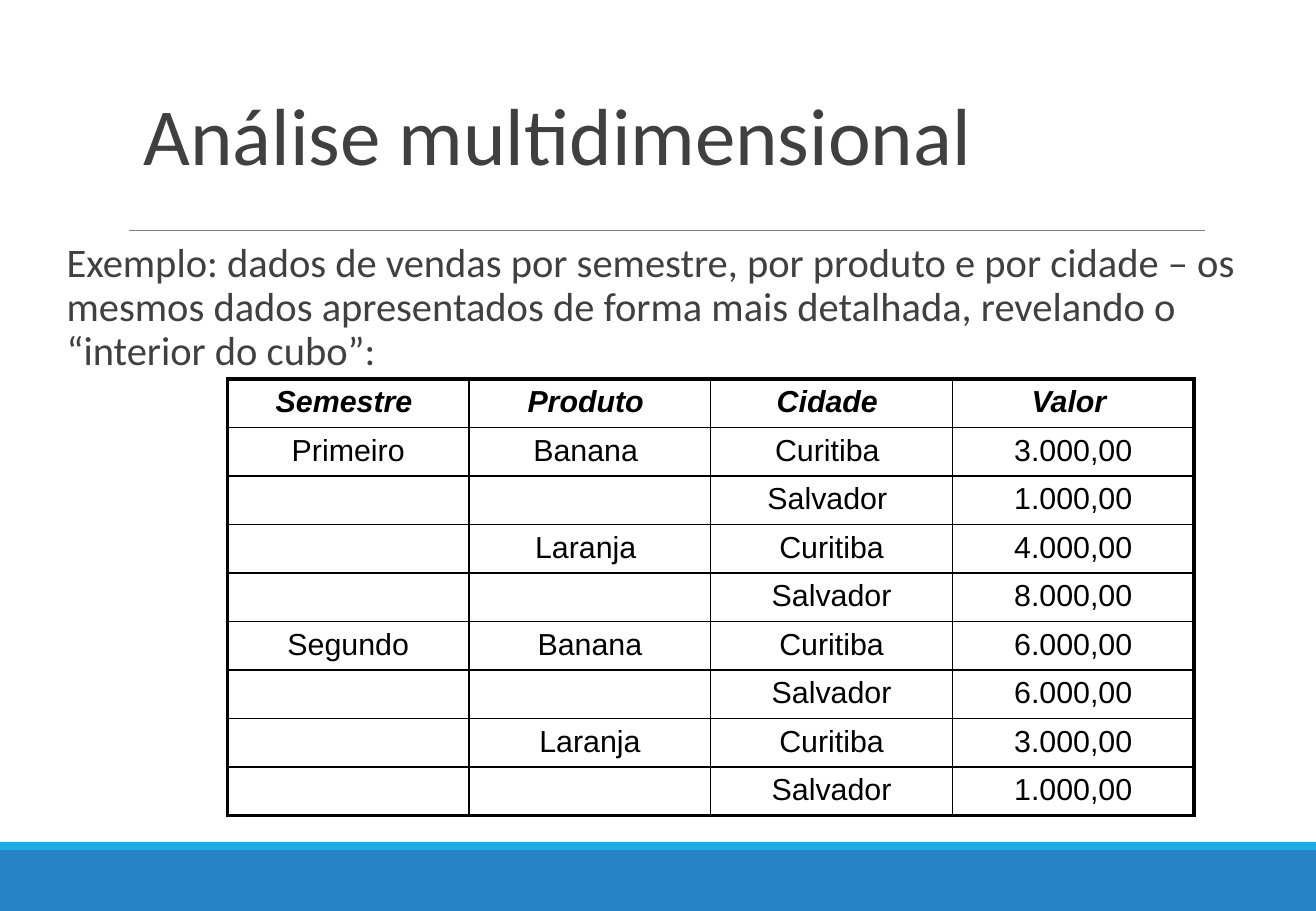
from lxml import etree
from pptx import Presentation
from pptx.dml.color import RGBColor
from pptx.enum.shapes import MSO_CONNECTOR, MSO_SHAPE
from pptx.enum.text import MSO_ANCHOR, MSO_AUTO_SIZE, PP_ALIGN
from pptx.oxml.ns import qn
from pptx.util import Pt

RECT = MSO_SHAPE.RECTANGLE
LINE = MSO_CONNECTOR.STRAIGHT
TOP, BOTTOM = MSO_ANCHOR.TOP, MSO_ANCHOR.BOTTOM
NO_FIT = MSO_AUTO_SIZE.NONE
LEFT, CENTER = PP_ALIGN.LEFT, PP_ALIGN.CENTER

WIDE, HIGH = 780, 540
COLORS = {"band": "2683C6", "strip": "1CADE4", "rule": "7F7F7F",
          "text": "404040", "grid": "000000"}
THIN, THICK = 1, 2.25

TITLE = "Análise multidimensional"
INTRO = ("Exemplo: dados de vendas por semestre, por produto e por cidade – os "
         "mesmos dados apresentados de forma mais detalhada, revelando o "
         "“interior do cubo”:")
# Trailing spaces belong to the cell text and shift its centring.
SALES = [
    ("Semestre ", "Produto ", "Cidade ", "Valor "),
    ("Primeiro", "Banana ", "Curitiba ", "3.000,00"),
    ("", "", "Salvador ", "1.000,00"),
    ("", "Laranja ", "Curitiba", "4.000,00"),
    ("", "", "Salvador", "8.000,00"),
    ("Segundo", "Banana", "Curitiba", "6.000,00"),
    ("", "", "Salvador", "6.000,00"),
    ("", "Laranja", "Curitiba", "3.000,00"),
    ("", "", "Salvador", "1.000,00"),
]


def color(name):
    return RGBColor.from_string(COLORS[name])


def style(par, face, size, hue, bold=False):
    """Format every run; bold text is italic too."""
    for run in par.runs:
        font = run.font
        font.name, font.size = face, Pt(size)
        font.bold = font.italic = bold
        font.color.rgb = color(hue)


def add_bar(slide, box, hue):
    bar = slide.shapes.add_shape(RECT, *map(Pt, box))
    bar.shadow.inherit = False
    bar.fill.solid()
    bar.fill.fore_color.rgb = color(hue)
    bar.line.fill.background()


def add_foot(slide, box):
    """Blue band with a light strip above it."""
    left, top, width, height = box
    strip = 5
    add_bar(slide, (left, top + strip, width, height - strip), "band")
    add_bar(slide, (left, top, width, strip), "strip")


def add_rule(slide, left, right, y):
    rule = slide.shapes.add_connector(LINE, Pt(left), Pt(y), Pt(right), Pt(y))
    rule.line.color.rgb = color("rule")
    rule.line.width = Pt(0.75)
    etree.SubElement(rule._element.spPr, qn("a:effectLst"))


def fill_text(shape, box, text, size, spacing, inset, anchor):
    shape.left, shape.top, shape.width, shape.height = map(Pt, box)
    frame = shape.text_frame
    frame.word_wrap = True
    frame.auto_size = NO_FIT
    frame.vertical_anchor = anchor
    frame.margin_left, frame.margin_right = map(Pt, inset)
    frame.margin_top = frame.margin_bottom = Pt(3.6)
    frame.text = text
    par = frame.paragraphs[0]
    par.alignment = LEFT
    par.line_spacing = spacing
    style(par, "Calibri", size, "text")


def add_head(slide, box):
    fill_text(slide.shapes.title, box, TITLE, 48, 0.85, (7.2, 7.2), BOTTOM)


def add_intro(slide, box):
    shape = slide.shapes.add_textbox(*map(Pt, box))
    fill_text(shape, box, INTRO, 24, 0.9, (7.2, 0), TOP)


def set_edges(cell, widths):
    """Draw the left, right, top and bottom borders."""
    props = cell._tc.get_or_add_tcPr()
    for side, width in zip("LRTB", widths):
        edge = etree.SubElement(props, qn("a:ln" + side), w=str(Pt(width)))
        fill = etree.SubElement(edge, qn("a:solidFill"))
        etree.SubElement(fill, qn("a:srgbClr"), val=COLORS["grid"])


def add_sales(slide, box):
    rows, cols = len(SALES), len(SALES[0])
    table = slide.shapes.add_table(rows, cols, *map(Pt, box)).table
    table.first_row = table.horz_banding = False
    for col in table.columns:
        col.width = Pt(box[2] / cols)
    for row in table.rows:
        row.height = Pt(box[3] / rows)
    for r, values in enumerate(SALES):
        for c, value in enumerate(values):
            cell = table.cell(r, c)
            outer = (c == 0, c == cols - 1, r == 0, r == rows - 1)
            set_edges(cell, [THICK if out else THIN for out in outer])
            cell.fill.background()
            cell.margin_left = cell.margin_right = Pt(7.2)
            cell.margin_top = cell.margin_bottom = Pt(3.6 if value else 0)
            cell.text = value
            par = cell.text_frame.paragraphs[0]
            par.alignment = CENTER
            style(par, "Arial", 18, "grid", bold=r == 0)


def main():
    deck = Presentation()
    deck.slide_width, deck.slide_height = Pt(WIDE), Pt(HIGH)
    slide = deck.slides.add_slide(deck.slide_layouts[5])
    add_foot(slide, (0, 499, WIDE, HIGH - 499))
    add_rule(slide, 76.5, 714, 136.8)
    add_head(slide, (77.8, 21.6, 663, 90))
    add_intro(slide, (32.4, 140.4, 708.5, 90))
    add_sales(slide, (134.8, 224.6, 573, 259.2))
    deck.save("out.pptx")


if __name__ == "__main__":
    main()
